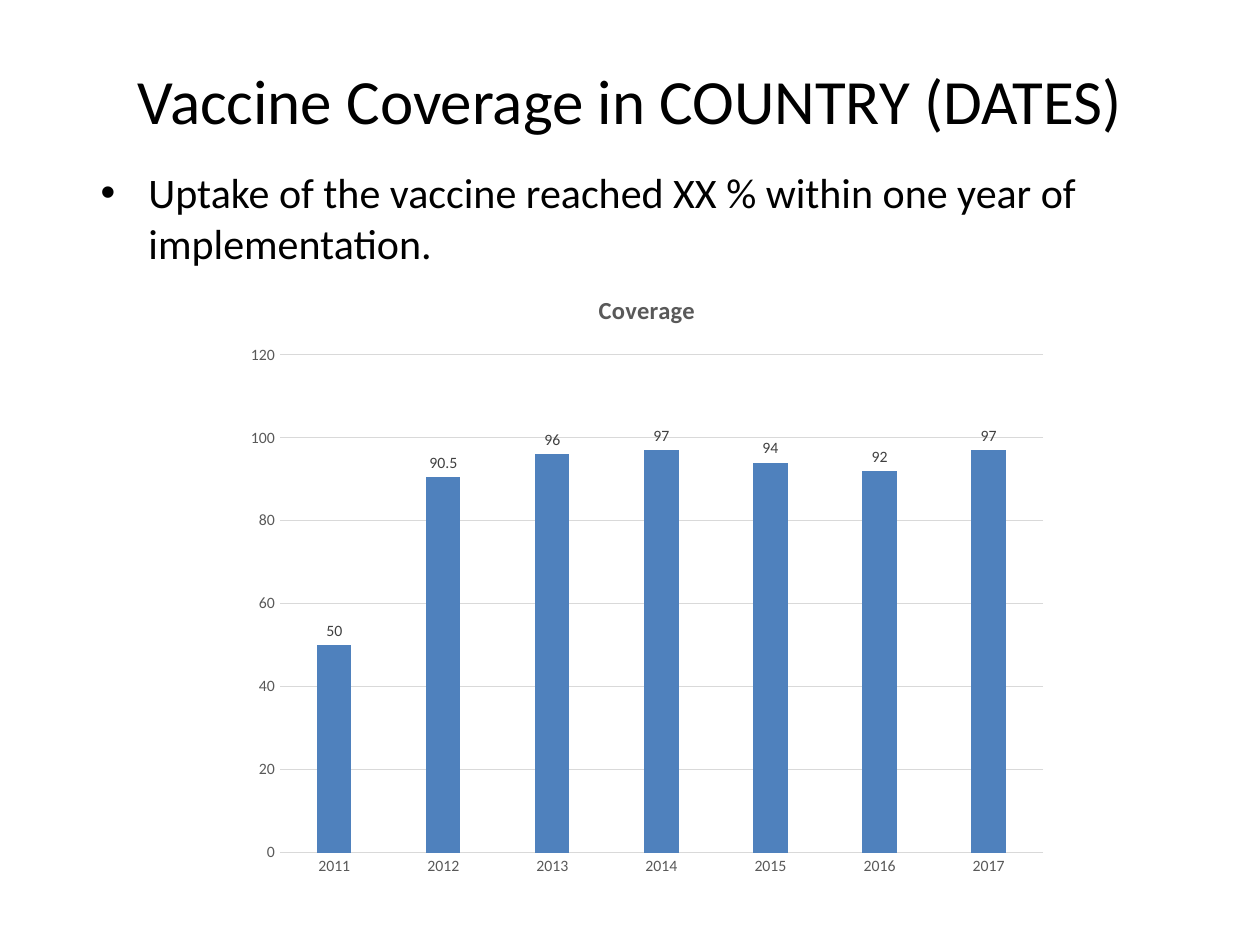
from dataclasses import dataclass

import pptx
import pptx.chart.data
import pptx.dml.color
import pptx.enum.chart
import pptx.enum.text
import pptx.oxml.ns
import pptx.util
import lxml.etree

Pt, Inches = pptx.util.Pt, pptx.util.Inches
Kind = pptx.enum.chart
WIDE, HIGH = 10, 7.5


@dataclass(frozen=True)
class Theme:
    font: str = "Calibri"
    ink: str = "000000"
    label: str = "404040"
    muted: str = "595959"
    grid: str = "D9D9D9"
    bar: str = "4F81BD"
    title: int = 36
    body: int = 24
    head: int = 14
    base: int = 10
    small: int = 9
    rule: float = 0.75


@dataclass(frozen=True)
class Box:
    """Place and size in shares of the slide."""
    left: float
    top: float
    width: float
    height: float

    def emu(self) -> dict:
        return {
            "left": Inches(self.left * WIDE),
            "top": Inches(self.top * HIGH),
            "width": Inches(self.width * WIDE),
            "height": Inches(self.height * HIGH),
        }


@dataclass(frozen=True)
class Year:
    name: str
    value: float


THEME = Theme()
TITLE = Box(0.05, 0.04, 0.9, 0.13)
BODY = Box(0.07, 0.17, 0.86, 0.48)
CHART = Box(0.186, 0.285, 0.655, 0.655)
YEARS = [
    Year(str(2011 + i), value)
    for i, value in enumerate((50, 90.5, 96, 97, 94, 92, 97))
]


def tint(hue: str) -> pptx.dml.color.RGBColor:
    return pptx.dml.color.RGBColor.from_string(hue)


def style(font, size: int, hue: str, bold: bool = False) -> None:
    for key, value in {"name": THEME.font, "size": Pt(size), "bold": bold}.items():
        setattr(font, key, value)
    font.color.rgb = tint(hue)


def rule(line) -> None:
    line.color.rgb = tint(THEME.grid)
    line.width = Pt(THEME.rule)


def add_title(slide, text: str) -> None:
    shape = slide.shapes.title
    for key, value in TITLE.emu().items():
        setattr(shape, key, value)
    frame = shape.text_frame
    frame.text = text
    frame.vertical_anchor = pptx.enum.text.MSO_ANCHOR.MIDDLE
    para = frame.paragraphs[0]
    para.alignment = pptx.enum.text.PP_ALIGN.CENTER
    style(para.runs[0].font, THEME.title, THEME.ink)


def add_bullet(slide, text: str) -> None:
    frame = slide.shapes.add_textbox(**BODY.emu()).text_frame
    frame.word_wrap = True
    para = frame.paragraphs[0]
    para.text = text
    para.space_before = Pt(THEME.body * 0.2)
    style(para.runs[0].font, THEME.body, THEME.ink)
    # Hanging indent and bullet sign
    props = para._p.get_or_add_pPr()
    props.set("marL", str(Inches(0.38)))
    props.set("indent", str(-Inches(0.38)))
    for tag, key, value in (("a:buFont", "typeface", "Arial"),
                            ("a:buChar", "char", "•")):
        lxml.etree.SubElement(props, pptx.oxml.ns.qn(tag)).set(key, value)


def add_chart(slide, name: str, years: list[Year]) -> None:
    data = pptx.chart.data.CategoryChartData()
    data.categories = [year.name for year in years]
    data.add_series(name, [year.value for year in years])
    place = CHART.emu()
    chart = slide.shapes.add_chart(
        Kind.XL_CHART_TYPE.COLUMN_CLUSTERED,
        place["left"], place["top"], place["width"], place["height"], data,
    ).chart
    style(chart.font, THEME.base, THEME.ink)
    chart.has_legend = False

    # Heading
    chart.has_title = True
    head = chart.chart_title.text_frame
    head.text = name
    style(head.paragraphs[0].runs[0].font, THEME.head, THEME.muted, True)

    # Axes
    for axis in (chart.category_axis, chart.value_axis):
        axis.major_tick_mark = axis.minor_tick_mark = Kind.XL_TICK_MARK.NONE
        style(axis.tick_labels.font, THEME.small, THEME.muted)
    rule(chart.category_axis.format.line)
    scale = chart.value_axis
    for key, value in {"minimum_scale": 0, "maximum_scale": 120,
                       "major_unit": 20, "has_major_gridlines": True}.items():
        setattr(scale, key, value)
    scale.format.line.fill.background()
    rule(scale.major_gridlines.format.line)

    # Bars and their values
    plot = chart.plots[0]
    for key, value in {"gap_width": 219, "overlap": -27,
                       "vary_by_categories": False}.items():
        setattr(plot, key, value)
    bars = plot.series[0]
    bars.format.fill.solid()
    bars.format.fill.fore_color.rgb = tint(THEME.bar)
    labels = bars.data_labels
    labels.show_value = True
    labels.position = Kind.XL_LABEL_POSITION.OUTSIDE_END
    style(labels.font, THEME.small, THEME.label)


def main() -> None:
    deck = pptx.Presentation()
    deck.slide_width, deck.slide_height = Inches(WIDE), Inches(HIGH)
    slide = deck.slides.add_slide(deck.slide_layouts[5])
    add_title(slide, "Vaccine Coverage in COUNTRY (DATES)")
    add_bullet(slide, "Uptake of the vaccine reached XX % within one year of "
                      "implementation.")
    add_chart(slide, "Coverage", YEARS)
    deck.save("out.pptx")


if __name__ == "__main__":
    main()
